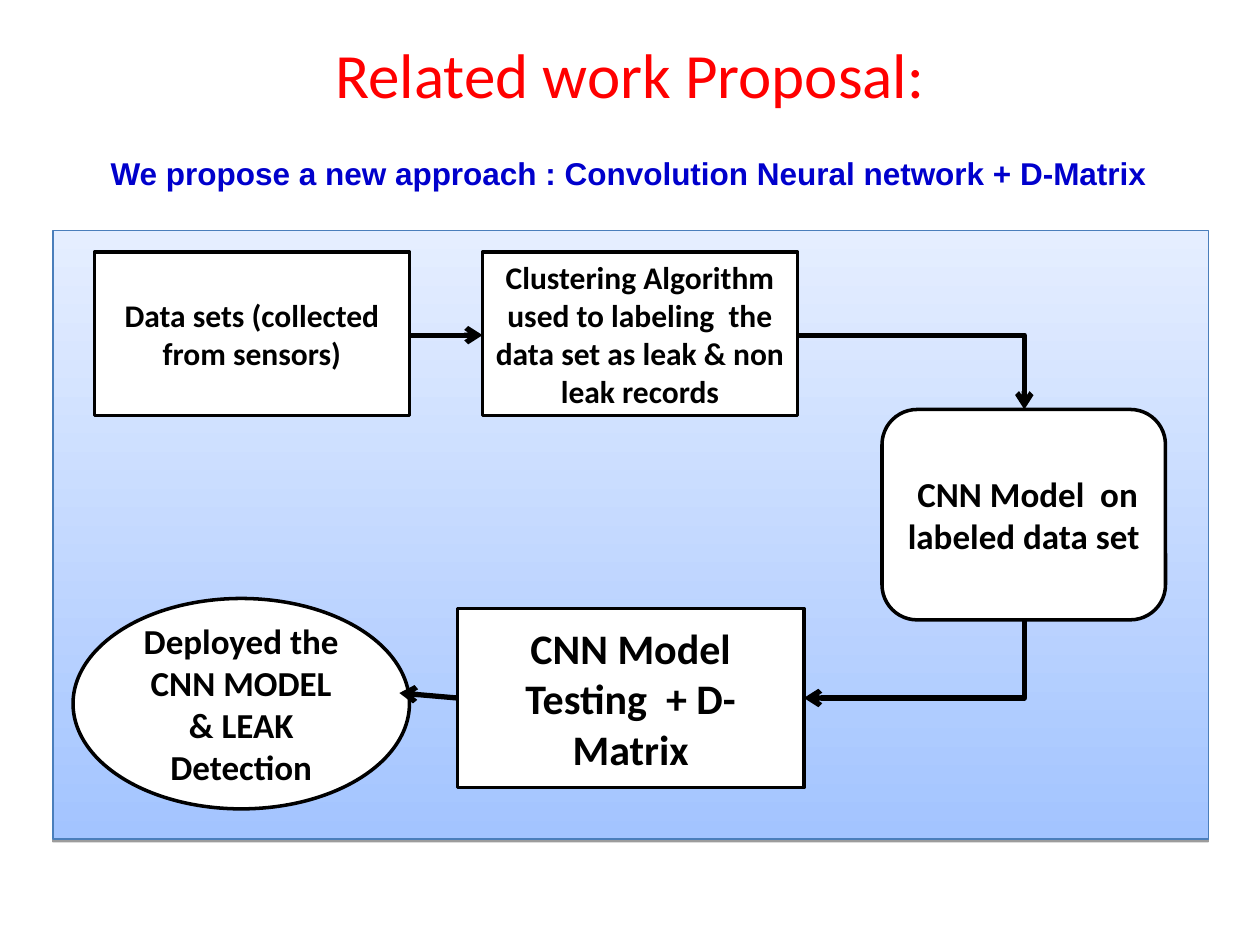
from lxml import etree
from pptx import Presentation
from pptx.dml.color import RGBColor
from pptx.enum.shapes import MSO_CONNECTOR, MSO_SHAPE
from pptx.enum.text import MSO_ANCHOR, MSO_AUTO_SIZE, PP_ALIGN
from pptx.oxml.ns import qn
from pptx.util import Inches, Pt

RECT, ROUNDED, OVAL = MSO_SHAPE.RECTANGLE, MSO_SHAPE.ROUNDED_RECTANGLE, MSO_SHAPE.OVAL
STRAIGHT, ELBOW = MSO_CONNECTOR.STRAIGHT, MSO_CONNECTOR.ELBOW
MIDDLE, CENTER = MSO_ANCHOR.MIDDLE, PP_ALIGN.CENTER
NO_FIT = MSO_AUTO_SIZE.NONE

COLORS = {
    "title": "FF0000", "approach": "0000CC", "ink": "000000", "step": "FFFFFF",
    "panel_bottom": "A3C4FF", "panel_top": "E5EEFF", "panel_line": "4A7EBB",
}


def rgb(name):
    return RGBColor.from_string(COLORS[name])


def inches(values):
    return [Inches(value) for value in values]


def add_run(paragraph, text, size, color, font="Calibri", bold=True):
    run = paragraph.add_run()
    run.text = text
    run.font.name, run.font.size, run.font.bold = font, Pt(size), bold
    run.font.color.rgb = rgb(color)


def place_title(slide, box):
    title = slide.shapes.title
    title.left, title.top, title.width, title.height = inches(box)
    frame = title.text_frame
    frame.auto_size = NO_FIT
    frame.vertical_anchor = MIDDLE
    frame.paragraphs[0].alignment = CENTER
    add_run(frame.paragraphs[0], "Related work Proposal:", 36, "title", bold=False)


def add_approach(slide, box):
    frame = slide.shapes.add_textbox(*inches(box)).text_frame
    frame.word_wrap = False
    add_run(frame.paragraphs[0],
            "We propose a new approach : Convolution Neural network + D-Matrix",
            18, "approach", font="Arial")


def add_panel(slide, box):
    panel = slide.shapes.add_shape(RECT, *inches(box))
    panel.fill.gradient()
    panel.fill.gradient_angle = 90
    for stop, name in zip(panel.fill.gradient_stops, ("panel_bottom", "panel_top")):
        stop.color.rgb = rgb(name)
    panel.line.color.rgb = rgb("panel_line")
    panel.line.width = Pt(0.75)

    # Thin shadow under the lower edge
    panel.shadow.inherit = False
    effects = panel._element.spPr.find(qn("a:effectLst"))
    shadow = etree.SubElement(effects, qn("a:outerShdw"), blurRad="0",
                              dist=str(Pt(1.6)), dir="5400000", rotWithShape="0")
    shade = etree.SubElement(shadow, qn("a:srgbClr"), val=COLORS["ink"])
    etree.SubElement(shade, qn("a:alpha"), val="38000")


def add_step(slide, kind, box, text, size):
    step = slide.shapes.add_shape(kind, *inches(box))
    step.shadow.inherit = False
    step.fill.solid()
    step.fill.fore_color.rgb = rgb("step")
    step.line.color.rgb = rgb("ink")
    step.line.width = Pt(2)
    frame = step.text_frame
    frame.word_wrap = True
    frame.vertical_anchor = MIDDLE
    frame.paragraphs[0].alignment = CENTER
    add_run(frame.paragraphs[0], text, size, "ink")


def add_arrow(slide, kind, start, end, turn=0):
    arrow = slide.shapes.add_connector(kind, *inches(start + end))
    arrow.line.color.rgb = rgb("ink")
    arrow.line.width = Pt(3)
    properties = arrow._element.spPr
    etree.SubElement(arrow.line._get_or_add_ln(), qn("a:tailEnd"), type="arrow")
    etree.SubElement(properties, qn("a:effectLst"))
    if kind == ELBOW:
        # One right-angle corner instead of two
        properties.find(qn("a:prstGeom")).set("prst", "bentConnector2")
    if turn:
        properties.find(qn("a:xfrm")).set("rot", str(turn * 60000))


def add_flow(slide, box):
    add_panel(slide, box)
    left, top = box[:2]

    def at(x, y):
        return left + x, top + y

    # Steps: shape, offset in the panel, size, wording, text size
    steps = [
        (RECT, (0.33, 0.17), (2.5, 1.3), "Data sets (collected from sensors)", 18),
        (RECT, (3.41, 0.17), (2.5, 1.3),
         "Clustering Algorithm used to labeling  the data set as leak & non leak records", 18),
        (ROUNDED, (6.58, 1.42), (2.25, 1.67), " CNN Model  on labeled data set", 20),
        (RECT, (3.21, 3), (2.75, 1.42), "CNN Model Testing  + D-Matrix", 24),
        (OVAL, (0.16, 2.92), (2.67, 1.67), "Deployed the CNN MODEL & LEAK Detection", 20),
    ]
    for kind, offset, size, text, points in steps:
        add_step(slide, kind, at(*offset) + size, text, points)

    # Arrows; the turned one is given by its box before rotation
    add_arrow(slide, STRAIGHT, at(2.83, 0.83), at(3.41, 0.83))
    add_arrow(slide, ELBOW, at(5.91, 0.83), at(7.71, 1.42))
    add_arrow(slide, ELBOW, at(6.52, 2.52), at(7.15, 4.27), turn=90)
    add_arrow(slide, STRAIGHT, at(3.21, 3.71), at(2.75, 3.67))


def main():
    deck = Presentation()
    deck.slide_width, deck.slide_height = Inches(10), Inches(7.5)
    slide = deck.slides.add_slide(deck.slide_layouts[5])
    place_title(slide, (0.75, 0.33, 8.5, 0.5))
    add_flow(slide, (0.42, 1.83, 9.17, 4.83))
    add_approach(slide, (0.78, 1.17, 8.5, 0.4))
    deck.save("out.pptx")


if __name__ == "__main__":
    main()
